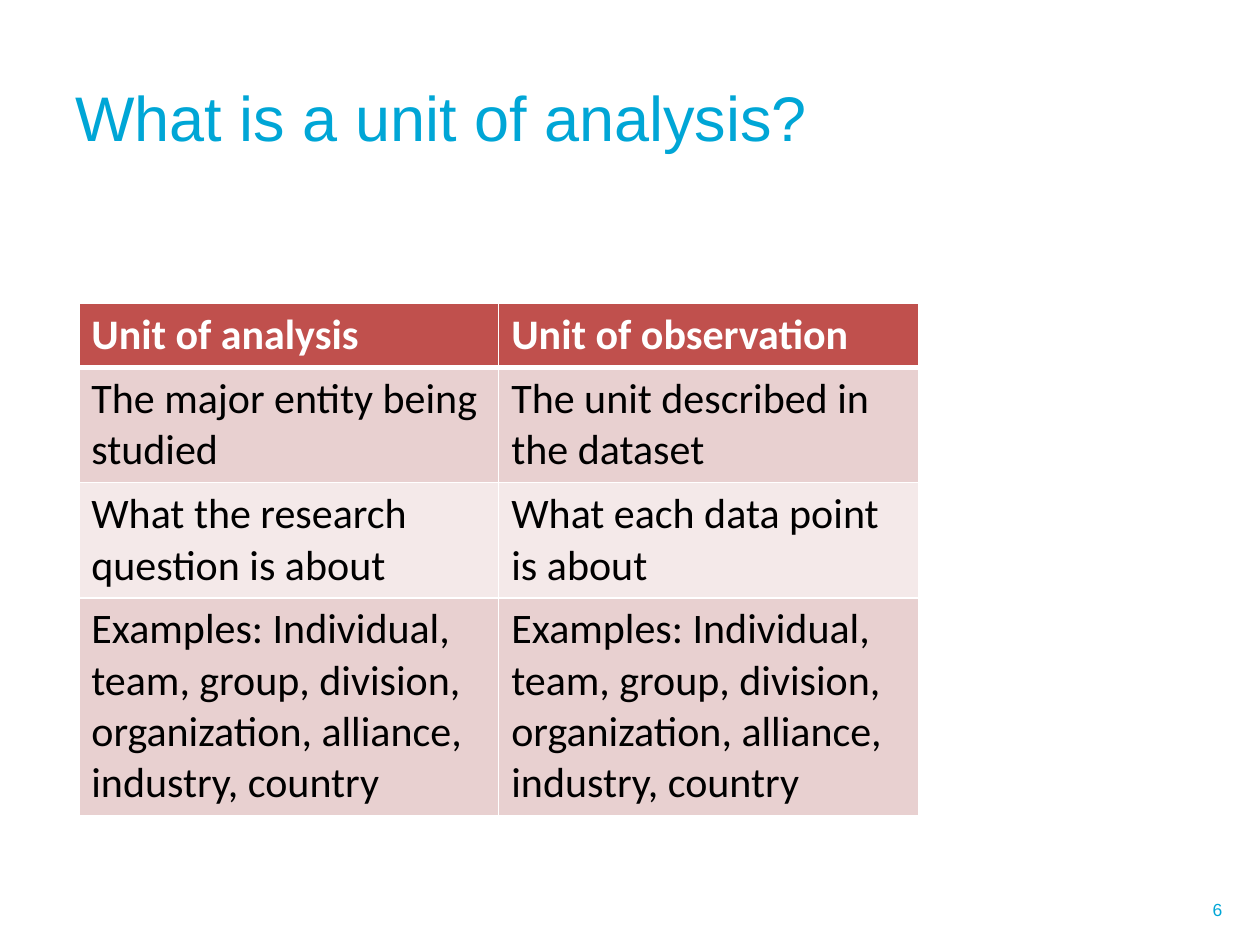
from lxml import etree
from pptx import Presentation
from pptx.dml.color import RGBColor
from pptx.enum.text import MSO_ANCHOR, PP_ALIGN
from pptx.oxml.ns import qn
from pptx.util import Pt

MIDDLE = MSO_ANCHOR.MIDDLE
LEFT, RIGHT = PP_ALIGN.LEFT, PP_ALIGN.RIGHT
CYAN, WHITE, BLACK = "00A6D6", "FFFFFF", "000000"
RED, ROSE, PALE_ROSE = "C0504D", "E8D0D0", "F4E9E9"


def rgb(value):
    return RGBColor.from_string(value)


def add_label(text, left, top, width, height, size, align):
    box = slide.shapes.add_textbox(Pt(left), Pt(top), Pt(width), Pt(height))
    frame = box.text_frame
    frame.word_wrap = True
    frame.vertical_anchor = MIDDLE
    frame.text = text
    line = frame.paragraphs[0]
    line.alignment = align
    line.font.name = "Arial"
    line.font.size = Pt(size)
    line.font.color.rgb = rgb(CYAN)


prs = Presentation()
prs.slide_width, prs.slide_height = Pt(720), Pt(540)
slide = prs.slides.add_slide(prs.slide_layouts[6])

# Page number and title
add_label("6", 523.4, 505.4, 182.2, 28.8, 10, RIGHT)
add_label("What is a unit of analysis?", 36, 21.6, 658, 90, 36, LEFT)

# Comparison table: row height follows the number of text lines
examples = ("Examples: Individual, team, group, division, "
            "organization, alliance, industry, country")
comparison = [
    ("Unit of analysis", "Unit of observation", 1, RED),
    ("The major entity being studied", "The unit described in the dataset", 2, ROSE),
    ("What the research question is about", "What each data point is about", 2, PALE_ROSE),
    (examples, examples, 4, ROSE),
]
LINE_HEIGHT, ROW_PADDING = 29.3, 7.2
heights = [lines * LINE_HEIGHT + ROW_PADDING for _, _, lines, _ in comparison]
table = slide.shapes.add_table(
    len(comparison), 2, Pt(45), Pt(173.5), Pt(480), Pt(sum(heights))).table

for row, (analysis, observation, _, fill) in enumerate(comparison):
    table.rows[row].height = Pt(heights[row])
    is_header = row == 0
    for column, text in enumerate((analysis, observation)):
        cell = table.cell(row, column)
        cell.text = text
        font = cell.text_frame.paragraphs[0].font
        font.name = "Calibri"
        font.size = Pt(24)
        font.bold = is_header
        font.color.rgb = rgb(WHITE if is_header else BLACK)

        # White borders, thicker below the header
        borders = {"a:lnL": 1, "a:lnR": 1,
                   "a:lnT": 3 if row == 1 else 1,
                   "a:lnB": 3 if is_header else 1}
        properties = cell._tc.get_or_add_tcPr()
        for side, width in borders.items():
            border = etree.SubElement(properties, qn(side), w=str(Pt(width)))
            solid = etree.SubElement(border, qn("a:solidFill"))
            etree.SubElement(solid, qn("a:srgbClr"), val=WHITE)
        cell.fill.solid()
        cell.fill.fore_color.rgb = rgb(fill)

prs.save("out.pptx")
